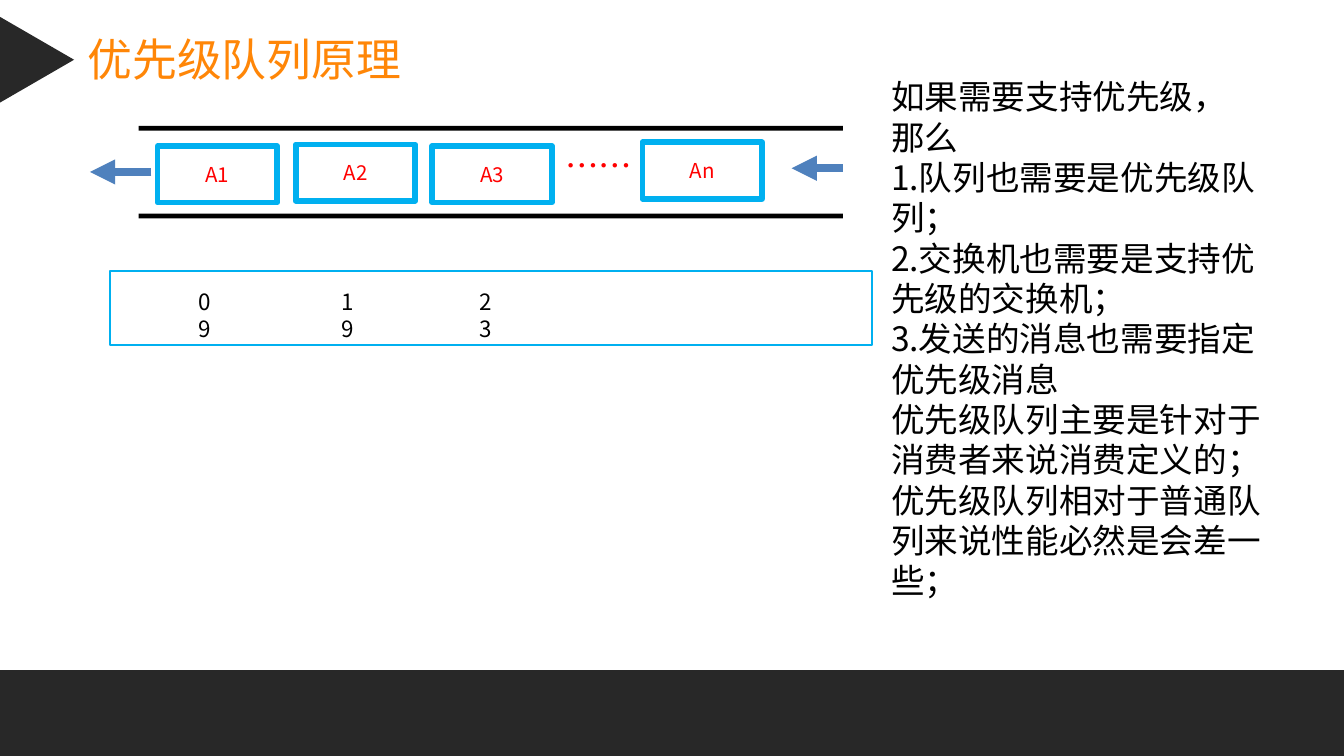
"""Build the slide that explains how a priority queue works."""
import lxml.etree
import pptx
import pptx.dml.color
import pptx.enum.shapes
import pptx.enum.text
import pptx.oxml.ns
import pptx.util

Cm = pptx.util.Cm
Pt = pptx.util.Pt
Shape = pptx.enum.shapes.MSO_SHAPE
Align = pptx.enum.text.PP_ALIGN
Anchor = pptx.enum.text.MSO_ANCHOR
qn = pptx.oxml.ns.qn


def color(value):
    return pptx.dml.color.RGBColor.from_string(value)


class SlideBuilder:
    font = "Noto Sans CJK SC"
    dark, black, red = "282828", "000000", "FF0000"
    orange, cyan, blue = "FF8607", "00B0F0", "4F81BD"

    def __init__(self, slide):
        self.slide = slide
        self.shapes = slide.shapes

    def start_group(self):
        self.shapes = self.slide.shapes.add_group_shape().shapes

    def end_group(self):
        self.shapes = self.slide.shapes

    def set_text(self, shape, text, size, fill, font=font, align=Align.LEFT, anchor=Anchor.TOP, wrap=True):
        frame = shape.text_frame
        frame.text = text
        frame.word_wrap = wrap
        frame.vertical_anchor = anchor
        frame.auto_size = pptx.enum.text.MSO_AUTO_SIZE.NONE
        for paragraph in frame.paragraphs:
            paragraph.alignment = align
            for run in paragraph.runs:
                run.font.size = Pt(size)
                run.font.name = font
                run.font.color.rgb = color(fill)
                east_asian = lxml.etree.Element(qn("a:ea"), typeface=self.font)
                run._r.get_or_add_rPr().find(qn("a:latin")).addnext(east_asian)

    def title(self, text, left, top, width, height):
        title = self.slide.shapes.title
        title.left, title.top = Cm(left), Cm(top)
        title.width, title.height = Cm(width), Cm(height)
        self.set_text(title, text, 24, self.orange, font="Arial Narrow", wrap=False)

    def shape(self, kind, left, top, width, height, fill=None, line=None, weight=1):
        shape = self.shapes.add_shape(kind, Cm(left), Cm(top), Cm(width), Cm(height))
        shape.shadow.inherit = False
        if fill:
            shape.fill.solid()
            shape.fill.fore_color.rgb = color(fill)
        else:
            shape.fill.background()
        if line:
            shape.line.color.rgb = color(line)
            shape.line.width = Pt(weight)
        else:
            shape.line.fill.background()
        return shape

    def queue_item(self, text, left, top):
        box = self.shape(Shape.RECTANGLE, left, top, 2.26, 1.07, line=self.cyan, weight=3)
        self.set_text(box, text, 11, self.red, align=Align.CENTER, anchor=Anchor.MIDDLE)

    def text(self, text, left, top, width, height, size, fill=black, **layout):
        box = self.shapes.add_textbox(Cm(left), Cm(top), Cm(width), Cm(height))
        self.set_text(box, text, size, fill, **layout)

    def arrow(self, start, end, y):
        arrow = self.shapes.add_connector(
            pptx.enum.shapes.MSO_CONNECTOR.STRAIGHT, Cm(start), Cm(y), Cm(end), Cm(y))
        arrow.line.color.rgb = color(self.blue)
        arrow.line.width = Pt(4.5)
        properties = arrow._element.spPr
        lxml.etree.SubElement(properties.find(qn("a:ln")), qn("a:tailEnd"), type="triangle")
        lxml.etree.SubElement(properties, qn("a:effectLst"))


def main():
    presentation = pptx.Presentation()
    presentation.slide_width, presentation.slide_height = Cm(25.4), Cm(14.29)
    builder = SlideBuilder(presentation.slides.add_slide(presentation.slide_layouts[5]))

    builder.shape(Shape.RECTANGLE, 0, 12.67, 25.4, 1.62, fill=builder.dark)
    builder.title("优先级队列原理", 1.4, 0.48, 6.5, 1.27)
    marker = builder.shape(Shape.ISOSCELES_TRIANGLE, -0.11, 0.43, 1.62, 1.4, fill=builder.dark)
    marker.rotation = 90

    builder.start_group()
    for top in (2.38, 4.04):
        builder.shape(Shape.RECTANGLE, 2.62, top, 13.31, 0.09, fill=builder.black)
    for name, left, top in (("A1", 2.98, 2.76), ("A2", 5.59, 2.73), ("A3", 8.17, 2.76), ("An", 12.14, 2.69)):
        builder.queue_item(name, left, top)
    builder.text("……", 10.03, 2.18, 2.57, 1.88, 18, builder.red, align=Align.CENTER, anchor=Anchor.MIDDLE)
    builder.arrow(15.93, 14.96, 3.18)
    builder.arrow(2.86, 1.7, 3.25)
    builder.end_group()

    builder.shape(Shape.RECTANGLE, 2.08, 5.13, 14.4, 1.4, line=builder.cyan)
    for label, left in (("0\n9", 3.5), ("1\n9", 6.2), ("2\n3", 8.81)):
        builder.text(label, left, 5.32, 1.04, 1.27, 12)
    builder.text("\n".join((
        "如果需要支持优先级，",
        "那么",
        "1.队列也需要是优先级队列；",
        "2.交换机也需要是支持优先级的交换机；",
        "3.发送的消息也需要指定优先级消息",
        "优先级队列主要是针对于消费者来说消费定义的；",
        "优先级队列相对于普通队列来说性能必然是会差一些；",
    )), 16.59, 1.32, 7.92, 10.26, 18)
    presentation.save("out.pptx")


if __name__ == "__main__":
    main()
